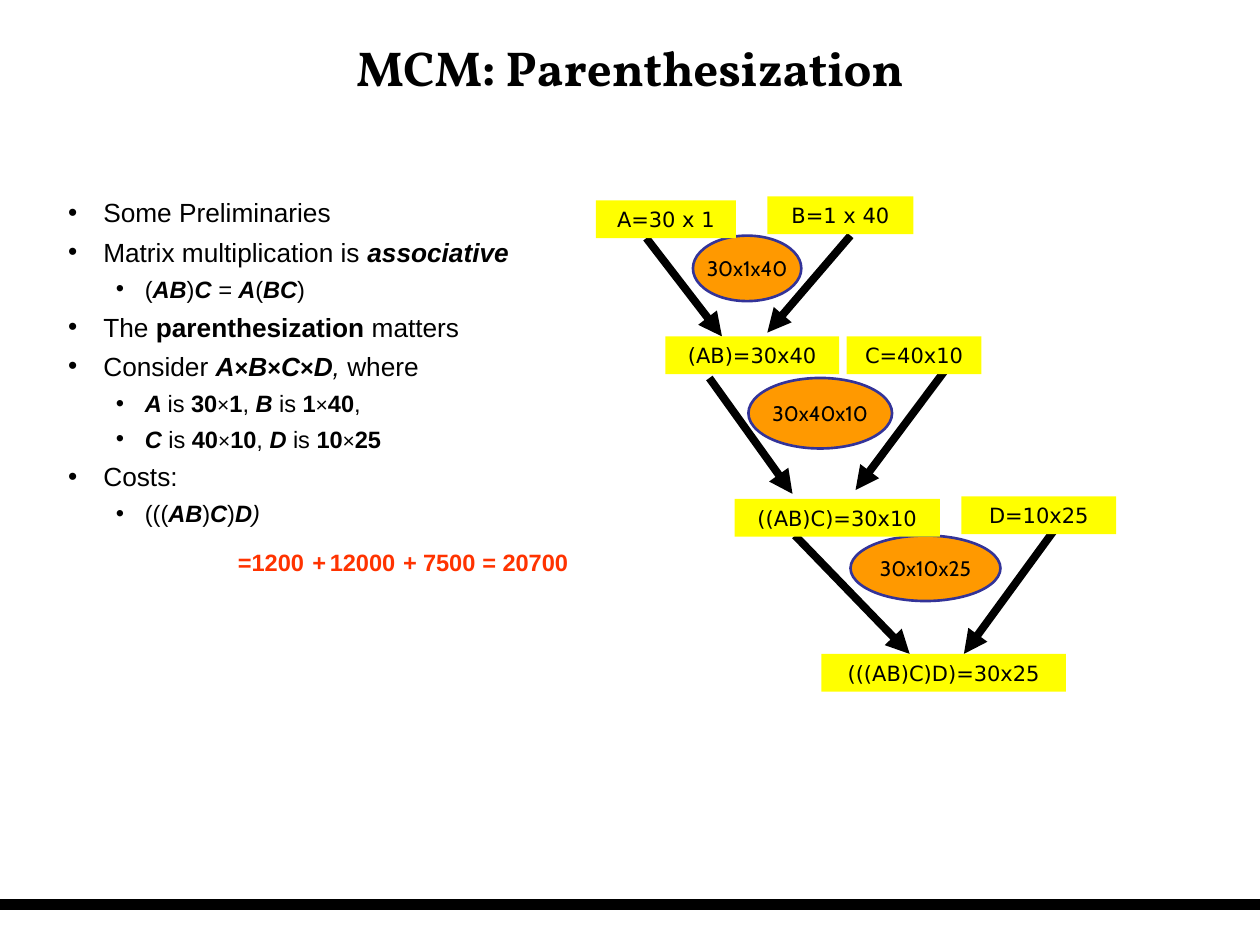
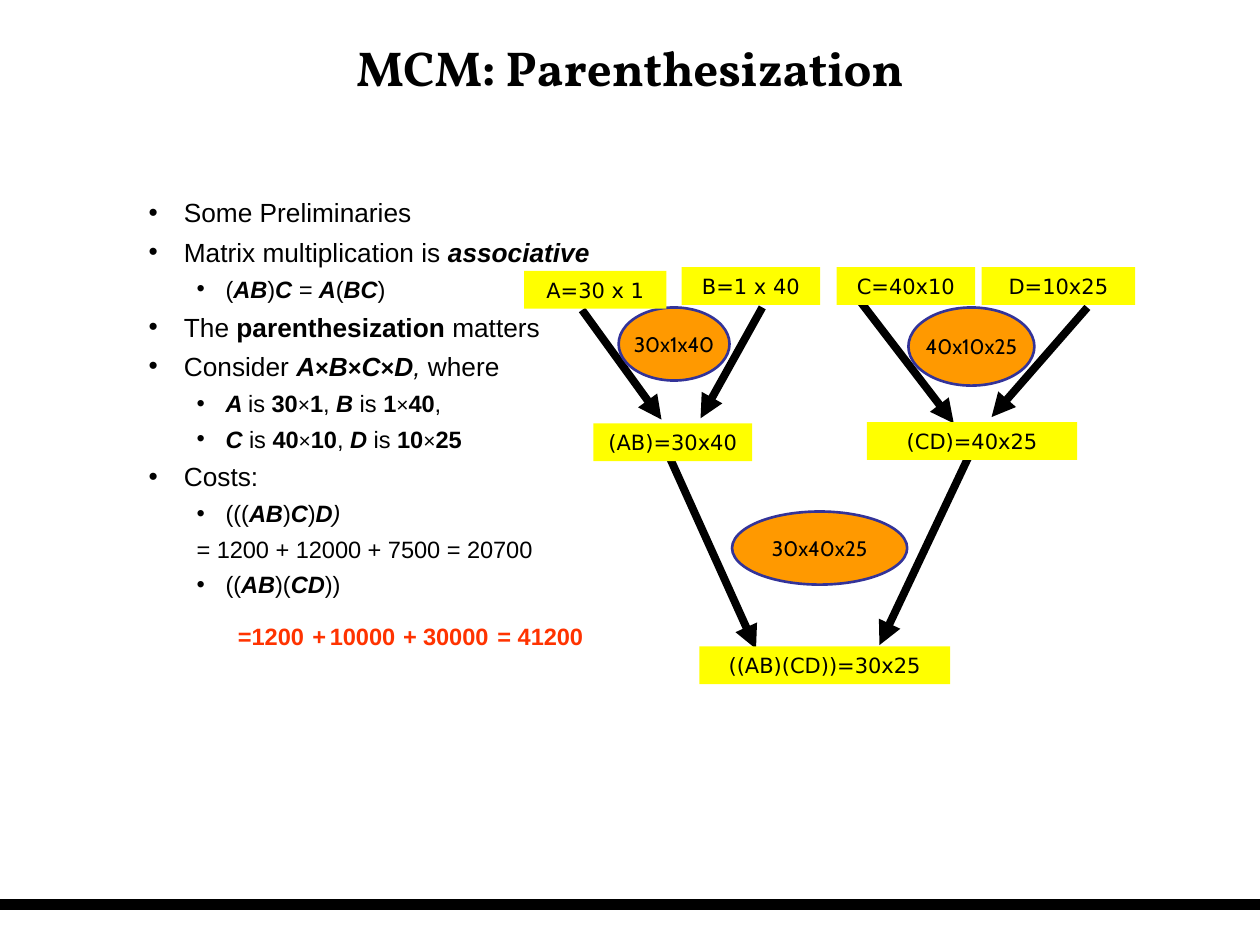
from dataclasses import dataclass
from typing import NamedTuple

from lxml.etree import SubElement
from pptx import Presentation
from pptx.dml.color import RGBColor
from pptx.enum.shapes import MSO_CONNECTOR as Connector
from pptx.enum.shapes import MSO_SHAPE as Preset
from pptx.enum.text import MSO_ANCHOR as Anchor
from pptx.enum.text import MSO_AUTO_SIZE as AutoSize
from pptx.enum.text import PP_ALIGN as Align
from pptx.oxml.ns import qn
from pptx.util import Inches, Pt

COLORS = {
    "ink": "000000",
    "matrix": "FFFF00",
    "cost": "FF9900",
    "cost_line": "333399",
    "sum": "FF3300",
}
TITLE_FONT, BODY_FONT, MATRIX_FONT, COST_FONT = "Vollkorn", "Arial", "DejaVu Sans", "Cabin"
TITLE = "MCM: Parenthesization"
LEVEL_SIZES = (15, 13.5)
LEVEL_INDENTS = ((0.28, -0.28), (0.61, -0.23))
BOX_HEIGHT = 0.3


class Span(NamedTuple):
    text: str
    style: str = ""


class Point(NamedTuple):
    level: int
    spans: list[Span]
    bullet: bool = True


class Arrow(NamedTuple):
    x1: float
    y1: float
    x2: float
    y2: float


class Cost(NamedTuple):
    text: str
    left: float
    top: float
    width: float
    height: float


class Matrix(NamedTuple):
    text: str
    left: float
    top: float
    width: float


class Term(NamedTuple):
    text: str
    left: float
    width: float


@dataclass
class Page:
    body: tuple[float, float, float, float]
    points: list[Point]
    arrows: list[Arrow]
    costs: list[Cost]
    matrices: list[Matrix]
    terms: list[Term]
    terms_top: float


def color(name: str) -> RGBColor:
    return RGBColor.from_string(COLORS[name])


def add_run(para, text: str, font: str, size: float, ink: str = "ink",
            bold: bool = False, italic: bool = False) -> None:
    run = para.add_run()
    run.text = text
    run.font.name = font
    run.font.size = Pt(size)
    run.font.bold = bold
    run.font.italic = italic
    run.font.color.rgb = color(ink)


def place(shape, left: float, top: float, width: float, height: float) -> None:
    shape.left, shape.top = Inches(left), Inches(top)
    shape.width, shape.height = Inches(width), Inches(height)


def add_line(slide, ends: Arrow, weight: float, head: bool = True):
    line = slide.shapes.add_connector(Connector.STRAIGHT, *map(Inches, ends))
    line.line.color.rgb = color("ink")
    line.line.width = Pt(weight)
    if head:
        SubElement(line.line._get_or_add_ln(), qn("a:tailEnd"), type="triangle")
    SubElement(line._element.spPr, qn("a:effectLst"))
    return line


def add_label(slide, preset: Preset, text: str, frame: tuple[float, ...],
              fill: str, font: str):
    shape = slide.shapes.add_shape(preset, *map(Inches, frame))
    shape.shadow.inherit = False
    shape.fill.solid()
    shape.fill.fore_color.rgb = color(fill)
    shape.line.fill.background()
    para = shape.text_frame.paragraphs[0]
    para.alignment = Align.CENTER
    add_run(para, text, font, 12)
    return shape


def add_cost(slide, cost: Cost) -> None:
    oval = add_label(slide, Preset.OVAL, cost.text, cost[1:], "cost", COST_FONT)
    oval.line.color.rgb = color("cost_line")
    oval.line.width = Pt(1.5)
    oval.text_frame.vertical_anchor = Anchor.MIDDLE
    oval.text_frame.word_wrap = False


def add_matrix(slide, matrix: Matrix) -> None:
    frame = (*matrix[1:], BOX_HEIGHT)
    box = add_label(slide, Preset.RECTANGLE, matrix.text, frame, "matrix", MATRIX_FONT)
    box.text_frame.vertical_anchor = Anchor.TOP
    box.text_frame.word_wrap = True


def add_term(slide, term: Term, top: float) -> None:
    box = slide.shapes.add_textbox(
        Inches(term.left), Inches(top), Inches(term.width), Inches(0.33))
    box.text_frame.word_wrap = True
    add_run(box.text_frame.paragraphs[0], term.text, BODY_FONT, 13.5, "sum", bold=True)


def fill_title(slide) -> None:
    title = slide.shapes.title
    place(title, 0.05, 0.07, 9.9, 0.92)
    title.text_frame.vertical_anchor = Anchor.MIDDLE
    para = title.text_frame.paragraphs[0]
    para.alignment = Align.CENTER
    add_run(para, TITLE, TITLE_FONT, 28, bold=True)


def fill_body(slide, frame: tuple[float, ...], points: list[Point]) -> None:
    body = slide.placeholders[1]
    place(body, *frame)
    text_frame = body.text_frame
    text_frame.auto_size = AutoSize.NONE
    for index, point in enumerate(points):
        para = text_frame.add_paragraph() if index else text_frame.paragraphs[0]
        size = LEVEL_SIZES[point.level]
        margin, indent = LEVEL_INDENTS[point.level]
        para.level = point.level
        para.line_spacing = 0.8
        para.space_before = Pt(round(size * 0.54, 1))
        properties = para._p.get_or_add_pPr()
        properties.set("marL", str(Inches(margin)))
        properties.set("indent", str(Inches(indent)))
        if point.bullet:
            SubElement(properties, qn("a:buChar"), char="•")
        else:
            SubElement(properties, qn("a:buNone"))
        for span in point.spans:
            span_size = size - 1.5 if "s" in span.style else size
            add_run(para, span.text, BODY_FONT, span_size,
                    bold="b" in span.style, italic="i" in span.style)


def product(*names: str) -> list[Span]:
    spans = [Span(names[0], "bi")]
    for name in names[1:]:
        spans += [Span("×", "bs"), Span(name, "bi")]
    return spans


def dimensions(name: str, rows: str, columns: str) -> list[Span]:
    return [Span(name + " ", "bi"), Span("is "), Span(rows, "b"),
            Span("×", "s"), Span(columns, "b")]


COMMON_POINTS = [
    Point(0, [Span("Some Preliminaries")]),
    Point(0, [Span("Matrix multiplication is "), Span("associative", "bi")]),
    Point(1, [Span("("), Span("AB", "bi"), Span(")"), Span("C", "bi"), Span(" = ", "i"),
              Span("A", "bi"), Span("("), Span("BC", "bi"), Span(")")]),
    Point(0, [Span("The "), Span("parenthesization", "b"), Span(" matters")]),
    Point(0, [Span("Consider "), *product("A", "B", "C", "D"),
              Span(", ", "i"), Span("where ")]),
    Point(1, [*dimensions("A", "30", "1"), Span(", "),
              *dimensions("B", "1", "40"), Span(", ")]),
    Point(1, [*dimensions("C", "40", "10"), Span(", "), *dimensions("D", "10", "25")]),
    Point(0, [Span("Costs:")]),
    Point(1, [Span("((("), Span("AB", "bi"), Span(")"), Span("C", "bi"),
              Span(")"), Span("D", "bi"), Span(")", "i")]),
]
PAIRED_POINTS = [
    Point(1, [Span("= 1200 + 12000 + 7500 = 20700")], bullet=False),
    Point(1, [Span("(("), Span("AB", "bi"), Span(")("), Span("CD", "bi"), Span("))")]),
]


def sum_terms(second: str, third: str, total: Term) -> list[Term]:
    return [Term("=1200", 1.79, 0.84), Term("+", 2.38, 0.25), Term(second, 2.52, 0.83),
            Term("+", 3.1, 0.25), Term(third, 3.26, 0.83), total]


PAGES = [
    Page(
        body=(0.44, 1.56, 4.3, 4.63),
        points=COMMON_POINTS,
        arrows=[
            Arrow(5.13, 1.89, 5.73, 2.67), Arrow(6.75, 1.87, 6.09, 2.64),
            Arrow(5.63, 3, 6.29, 3.92), Arrow(7.5, 2.94, 6.79, 3.89),
            Arrow(6.31, 4.25, 7.22, 5.19), Arrow(8.38, 4.19, 7.65, 5.19),
        ],
        costs=[
            Cost("30x1x40", 5.5, 1.87, 0.86, 0.52),
            Cost("30x40x10", 5.94, 3, 1.14, 0.56),
            Cost("30x10x25", 6.75, 4.25, 1.19, 0.52),
        ],
        matrices=[
            Matrix("A=30 x 1", 4.73, 1.59, 1.11), Matrix("B=1 x 40", 6.09, 1.56, 1.16),
            Matrix("(AB)=30x40", 5.28, 2.67, 1.38), Matrix("C=40x10", 6.72, 2.67, 1.07),
            Matrix("((AB)C)=30x10", 5.83, 3.96, 1.63), Matrix("D=10x25", 7.63, 3.94, 1.23),
            Matrix("(((AB)C)D)=30x25", 6.52, 5.19, 1.94),
        ],
        terms=sum_terms("12000", "7500", Term("= 20700", 3.73, 1)),
        terms_top=4.3,
    ),
    Page(
        body=(1.08, 1.56, 3.98, 4.66),
        points=COMMON_POINTS + PAIRED_POINTS,
        arrows=[
            Arrow(4.62, 2.46, 5.25, 3.33), Arrow(6.05, 2.44, 5.56, 3.32),
            Arrow(6.81, 2.37, 7.57, 3.36), Arrow(8.63, 2.44, 7.87, 3.31),
            Arrow(5.31, 3.62, 6, 5.15), Arrow(7.69, 3.62, 6.98, 5.12),
        ],
        costs=[
            Cost("30x1x40", 4.91, 2.44, 0.88, 0.58),
            Cost("40x10x25", 7.21, 2.44, 1, 0.62),
            Cost("30x40x25", 5.81, 4.06, 1.39, 0.58),
        ],
        matrices=[
            Matrix("A=30 x 1", 4.16, 2.15, 1.13), Matrix("B=1 x 40", 5.41, 2.12, 1.1),
            Matrix("C=40x10", 6.64, 2.12, 1.1), Matrix("D=10x25", 7.79, 2.12, 1.22),
            Matrix("(AB)=30x40", 4.71, 3.36, 1.26), Matrix("(CD)=40x25", 6.88, 3.35, 1.67),
            Matrix("((AB)(CD))=30x25", 5.55, 5.13, 1.99),
        ],
        terms=sum_terms("10000", "30000", Term("= 41200", 3.85, 1)),
        terms_top=4.89,
    ),
]


def draw_page(deck, page: Page):
    slide = deck.slides.add_slide(deck.slide_layouts[1])
    fill_title(slide)
    fill_body(slide, page.body, page.points)
    for arrow in page.arrows:
        add_line(slide, arrow, 4.5)
    for cost in page.costs:
        add_cost(slide, cost)
    for matrix in page.matrices:
        add_matrix(slide, matrix)
    for term in page.terms:
        add_term(slide, term, page.terms_top)
    return slide


deck = Presentation()
deck.slide_width, deck.slide_height = Inches(10), Inches(7.5)
slides = [draw_page(deck, page) for page in PAGES]
footer_band = add_line(slides[0], Arrow(0, 7.18, 10, 7.18), 6, head=False)
deck.slide_master.shapes._spTree.append(footer_band._element)
deck.save("out.pptx")
